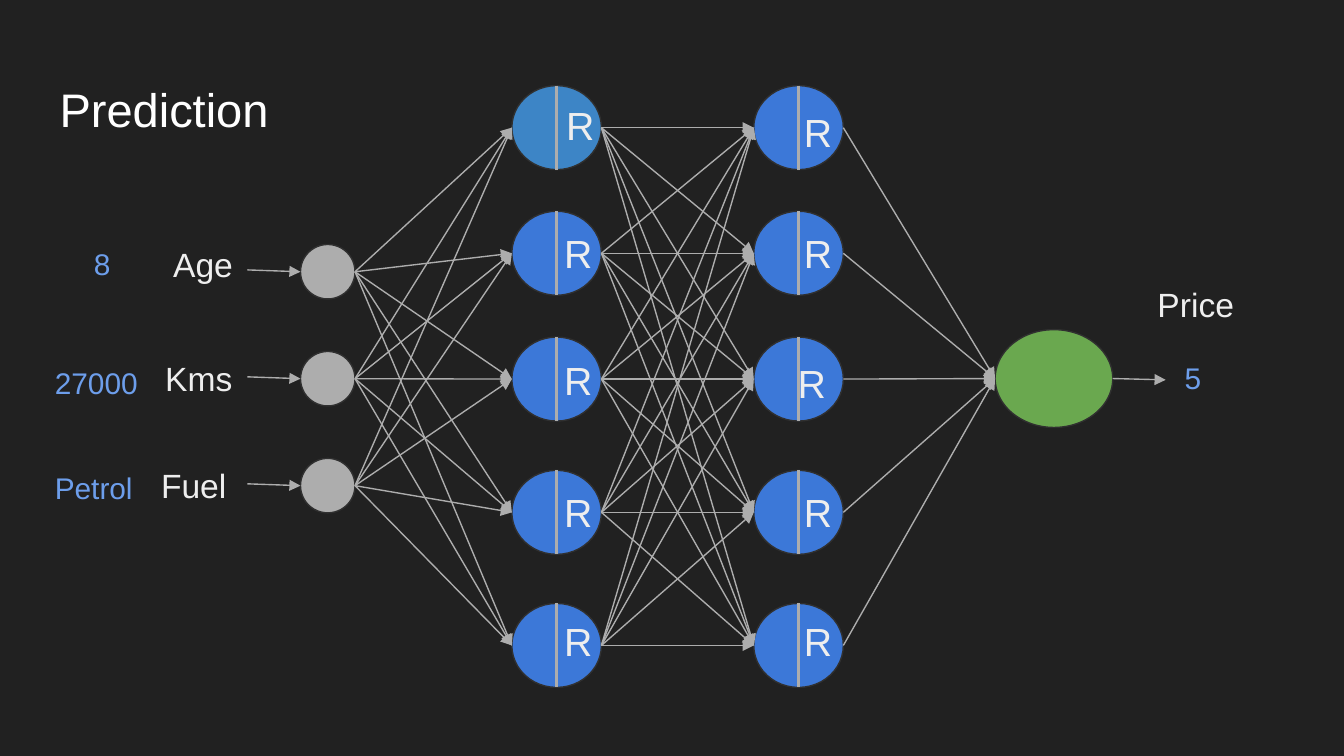
"""Draw a price prediction neural network on one slide."""
from lxml import etree
from pptx import Presentation
from pptx.dml.color import RGBColor
from pptx.enum.shapes import MSO_CONNECTOR, MSO_SHAPE
from pptx.enum.text import MSO_ANCHOR, MSO_AUTO_SIZE, PP_ALIGN
from pptx.oxml.ns import qn
from pptx.util import Pt

OVAL = MSO_SHAPE.OVAL
STRAIGHT = MSO_CONNECTOR.STRAIGHT
MIDDLE = MSO_ANCHOR.MIDDLE
LEFT_TEXT = PP_ALIGN.LEFT
FIXED = MSO_AUTO_SIZE.NONE
GROW = MSO_AUTO_SIZE.SHAPE_TO_FIT_TEXT

DARK = RGBColor(0x21, 0x21, 0x21)
EDGE = RGBColor(0x30, 0x30, 0x30)
GRAY = RGBColor(0xAD, 0xAD, 0xAD)
PALE = RGBColor(0xEE, 0xEE, 0xEE)
WHITE = RGBColor(0xFF, 0xFF, 0xFF)
GREEN = RGBColor(0x6A, 0xA8, 0x4F)
TEAL = RGBColor(0x3D, 0x85, 0xC6)
BLUE = RGBColor(0x3C, 0x78, 0xD8)
SKY = RGBColor(0x6D, 0x9E, 0xEB)

TOP, LEFT, BOTTOM, RIGHT = 0, 2, 4, 6


def write(frame, text, size=18, color=PALE, fit=GROW):
    frame.word_wrap = True
    frame.auto_size = fit
    frame.margin_left = frame.margin_right = Pt(7.2)
    frame.margin_top = frame.margin_bottom = Pt(7.2)
    para = frame.paragraphs[0]
    para.text = text
    para.alignment = LEFT_TEXT
    font = para.runs[0].font
    font.name, font.size, font.color.rgb = "Arial", Pt(size), color


def spot(node, site):
    x, y = node.left, node.top
    if site in (TOP, BOTTOM):
        x += node.width // 2
        y += node.height if site == BOTTOM else 0
    else:
        x += node.width if site == RIGHT else 0
        y += node.height // 2
    return x, y, node, site


class Board:
    def __init__(self, deck):
        self.slide = deck.slides.add_slide(deck.slide_layouts[5])
        self.shapes = self.slide.shapes
        fill = self.slide.background.fill
        fill.solid()
        fill.fore_color.rgb = DARK

    def title(self, text, x, y, w, h):
        box = self.shapes.title
        box.left, box.top, box.width, box.height = Pt(x), Pt(y), Pt(w), Pt(h)
        write(box.text_frame, text, size=25.2, color=WHITE, fit=FIXED)
        box.text_frame.vertical_anchor = MIDDLE

    def label(self, text, x, y, w, h, **style):
        box = self.shapes.add_textbox(Pt(x), Pt(y), Pt(w), Pt(h))
        write(box.text_frame, text, **style)

    def node(self, x, y, w, h, color):
        oval = self.shapes.add_shape(OVAL, Pt(x), Pt(y), Pt(w), Pt(h))
        oval.shadow.inherit = False
        oval.fill.solid()
        oval.fill.fore_color.rgb = color
        oval.line.color.rgb = EDGE
        oval.line.width = Pt(0.75)
        return oval

    def wire(self, start, end, width=0.75, arrow=True):
        line = self.shapes.add_connector(STRAIGHT, *start[:2], *end[:2])
        line.line.color.rgb = GRAY
        line.line.width = Pt(width)
        root = line._element
        if arrow:
            etree.SubElement(root.spPr.find(qn("a:ln")), qn("a:tailEnd"), type="triangle")
        etree.SubElement(root.spPr, qn("a:effectLst"))
        joints = root.find(".//" + qn("p:cNvCxnSpPr"))
        for tag, joint in (("a:stCxn", start[2:]), ("a:endCxn", end[2:])):
            if joint:
                node, site = joint
                etree.SubElement(joints, qn(tag), id=str(node.shape_id), idx=str(site))

    def mesh(self, first, second):
        for a in first:
            for b in second:
                self.wire(spot(a, RIGHT), spot(b, LEFT))


def main():
    deck = Presentation()
    deck.slide_width, deck.slide_height = Pt(720), Pt(405)
    board = Board(deck)
    board.title("Prediction", 24.7, 35.5, 137, 45)

    inputs = [board.node(161, 131 + 57.3 * i, 29.2, 29.2, GRAY) for i in range(3)]
    for node in inputs:
        x, y, *joint = spot(node, LEFT)
        board.wire((Pt(132.5), y - Pt(1)), (x, y, *joint))
    price = board.node(533.1, 176.6, 63, 52.4, GREEN)
    x, y, *joint = spot(price, RIGHT)
    board.wire((x, y, *joint), (Pt(624.5), y + Pt(0.7)))

    rows = (45.9, 113.2, 180.6, 252, 323.3)
    layers = [
        [board.node(x, y, 48, 45, TEAL if (x, y) == (274.2, rows[0]) else BLUE) for y in rows]
        for x in (274.2, 403.8)
    ]
    stages = [inputs, *layers, [price]]
    for first, second in zip(stages, stages[1:]):
        board.mesh(first, second)
    for node in layers[0] + layers[1]:
        board.wire(spot(node, TOP), spot(node, BOTTOM), width=1.5, arrow=False)

    marks = (
        (296.2, 46.8), (295.2, 115.7), (295.2, 183.6), (295.2, 254.4), (295.2, 323.3),
        (423.6, 50.8), (423.6, 115.7), (420.3, 185.2), (423.6, 254.4), (423.6, 323.3),
    )
    for x, y in marks:
        board.label("R", x, y, 28, 40, size=21)

    names = (
        ("Age", 85.7, 123.4), ("Kms", 81.4, 184.6),
        ("Fuel", 79.2, 242), ("Price", 613, 144.7),
    )
    for text, x, y in names:
        board.label(text, x, y, 63.4, 36)

    values = (
        ("8", 43.2, 124.6, 34), ("27000", 22.3, 188, 63.4),
        ("Petrol", 22.3, 244.3, 63.4), ("5", 627.6, 185.6, 34),
    )
    for text, x, y, w in values:
        board.label(text, x, y, w, 33.8, size=16, color=SKY)

    deck.save("out.pptx")


if __name__ == "__main__":
    main()
